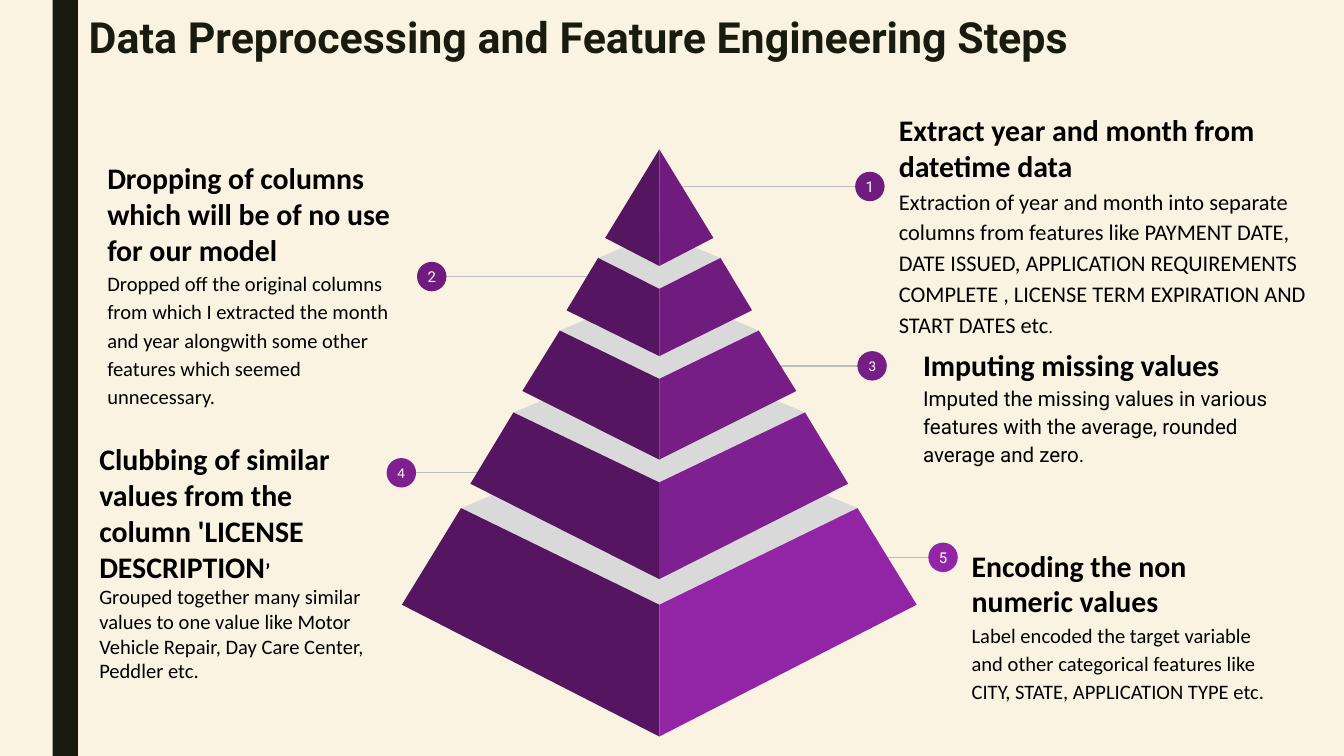
"""Build the slide on data preprocessing and feature engineering steps."""

from pptx import Presentation
from pptx.dml.color import RGBColor
from pptx.enum.shapes import MSO_CONNECTOR, MSO_SHAPE
from pptx.enum.text import MSO_ANCHOR, MSO_AUTO_SIZE, PP_ALIGN
from pptx.oxml.ns import qn
from pptx.util import Pt

CREAM = RGBColor(0xFA, 0xF3, 0xE2)
INK = RGBColor(0x19, 0x1B, 0x0E)
BLACK = RGBColor(0, 0, 0)
WHITE = RGBColor(0xFF, 0xFF, 0xFF)
LINE_GRAY = RGBColor(0xBD, 0xBD, 0xBD)
LID_GRAY = RGBColor(0xD9, 0xD9, 0xD9)
SHADE = RGBColor(0x55, 0x15, 0x61)
PLUM = RGBColor(0x70, 0x1C, 0x7F)
GRAPE = RGBColor(0x76, 0x1E, 0x86)
VIOLET = RGBColor(0x7F, 0x20, 0x90)
ORCHID = RGBColor(0x92, 0x25, 0xA5)

TITLE = "Data Preprocessing and Feature Engineering Steps"
CENTER = 353.2
BADGE = 15.8

# Fields: upper half width, side and middle; lower half width, side and middle; lid back; colour
TIERS = [
    (0, 80, 80, 29, 127.5, 142.5, None, PLUM),
    (32.8, 138.2, 154.8, 49.7, 166.3, 190.8, 124.6, PLUM),
    (53.3, 177.1, 203, 73.4, 209.5, 246.2, 154.8, GRAPE),
    (78.1, 221, 258.5, 101.2, 259.2, 310.3, 188.6, VIOLET),
    (106.2, 272.2, 324, 137.9, 324, 394.6, 228.2, ORCHID),
]

STEPS = [
    {"line": (341.3, 466, 99.9), "font": "Roboto", "color": PLUM,
     "box": (474.5, 52.8, 237.6, 135),
     "head": [("Extract year and month from datetime data", 16, "Calibri")],
     "body": [("Extraction of year and month into separate columns from features "
               "like PAYMENT DATE, DATE ISSUED, APPLICATION REQUIREMENTS COMPLETE , "
               "LICENSE TERM EXPIRATION AND START DATES etc", 12, "Calibri"),
              (".", 10, "Roboto")],
     "spacing": (1, 1.15)},
    {"line": (324.7, 231.3, 148.2), "font": "Roboto", "color": PLUM,
     "box": (50.4, 78.5, 172.8, 149),
     "head": [("Dropping of columns which will be of no use for our model",
               16, "Calibri")],
     "body": [("Dropped off the original columns from which I extracted the month "
               "and year alongwith some other features which seemed unnecessary.",
               11, "Calibri")],
     "spacing": (1, 1.15)},
    {"line": (384.5, 467.2, 196), "font": "Calibri", "color": GRAPE,
     "box": (487.4, 175.5, 200.9, 82),
     "head": [("Imputing missing values", 16, "Calibri")],
     "body": [("Imputed the missing values in various features with the average, "
               "rounded average and zero.", 11, "Roboto")],
     "spacing": (1.15, 1.15)},
    {"line": (276.5, 215, 253.3), "font": "Calibri", "color": VIOLET,
     "box": (46.1, 229, 162, 146),
     "head": [("Clubbing of similar values from the column 'LICENSE DESCRIPTION",
               16, "Calibri"), ("’", 11, "Calibri")],
     "body": [("Grouped together many similar values to one value like Motor "
               "Vehicle Repair, Day Care Center, Peddler etc.", 11, "Calibri")],
     "spacing": (1, 1)},
    {"line": (462.2, 505.2, 298.6), "font": "Roboto", "color": ORCHID,
     "box": (513.4, 286, 181.4, 100),
     "head": [("Encoding the non numeric values", 16, "Calibri")],
     "body": [("Label encoded the target variable and other categorical features "
               "like CITY, STATE, APPLICATION TYPE etc.", 11, "Calibri")],
     "spacing": (1, 1.15)},
]


def paint(shape, color):
    shape.shadow.inherit = False
    shape.fill.solid()
    shape.fill.fore_color.rgb = color
    shape.line.fill.background()


def style(font, size, name, color, bold=False):
    font.size, font.name, font.bold = Pt(size), name, bold
    font.color.rgb = color


def set_insets(frame, inset):
    frame.margin_left = frame.margin_right = Pt(inset)
    frame.margin_top = frame.margin_bottom = Pt(inset)


def add_polygon(page, points, color):
    (left, top), *rest = [(Pt(x), Pt(y)) for x, y in points]
    builder = page.shapes.build_freeform(left, top)
    builder.add_line_segments(rest, close=True)
    paint(builder.convert_to_shape(), color)


def add_pyramid(page):
    for half, side, middle, _, _, _, back, _ in TIERS:
        if back is not None:
            add_polygon(page, [(CENTER - half, side), (CENTER, middle),
                               (CENTER + half, side), (CENTER, back)], LID_GRAY)
    for half, side, middle, low_half, low_side, low_middle, _, color in TIERS:
        for sign, fill in ((-1, SHADE), (1, color)):
            add_polygon(page, [(CENTER + sign * half, side), (CENTER, middle),
                               (CENTER, low_middle),
                               (CENTER + sign * low_half, low_side)], fill)


def add_badge(page, number, step):
    start, end, y = step["line"]
    leader = page.shapes.add_connector(MSO_CONNECTOR.STRAIGHT,
                                       Pt(start), Pt(y), Pt(end), Pt(y))
    leader.line.color.rgb = LINE_GRAY
    leader.line.width = Pt(0.75)
    properties = leader._element.spPr
    properties.append(properties.makeelement(qn("a:effectLst"), {}))
    badge = page.shapes.add_shape(MSO_SHAPE.OVAL, Pt(end - BADGE / 2),
                                  Pt(y - BADGE / 2), Pt(BADGE), Pt(BADGE))
    paint(badge, step["color"])
    frame = badge.text_frame
    set_insets(frame, 0)
    frame.word_wrap = False
    frame.vertical_anchor = MSO_ANCHOR.MIDDLE
    para = frame.paragraphs[0]
    para.text, para.alignment = str(number), PP_ALIGN.CENTER
    style(para.font, 8, step["font"], WHITE)
    style(para.runs[0].font, 8, step["font"], WHITE)


def fill_para(para, spans, spacing, bold):
    para.line_spacing = spacing
    for text, size, name in spans:
        span = para.add_run()
        span.text = text
        target = para.font if len(spans) == 1 else span.font
        style(target, size, name, BLACK, bold)


def add_description(page, step):
    box = page.shapes.add_textbox(*map(Pt, step["box"]))
    frame = box.text_frame
    frame.word_wrap = True
    set_insets(frame, 7.2)
    head_spacing, body_spacing = step["spacing"]
    fill_para(frame.paragraphs[0], step["head"], head_spacing, True)
    fill_para(frame.add_paragraph(), step["body"], body_spacing, False)


def add_title(page):
    title = page.shapes.title
    title.left, title.top, title.width, title.height = map(Pt, (40.3, -1.4, 655, 45))
    frame = title.text_frame
    frame.auto_size = MSO_AUTO_SIZE.NONE
    frame.vertical_anchor = MSO_ANCHOR.TOP
    set_insets(frame, 7.2)
    para = frame.paragraphs[0]
    para.text, para.alignment = TITLE, PP_ALIGN.LEFT
    style(para.font, 23, "Roboto", INK, True)


def main():
    deck = Presentation()
    deck.slide_width, deck.slide_height = Pt(720), Pt(405)
    page = deck.slides.add_slide(deck.slide_layouts[5])
    page.background.fill.solid()
    page.background.fill.fore_color.rgb = CREAM
    paint(page.shapes.add_shape(MSO_SHAPE.RECTANGLE, Pt(28.2), 0, Pt(13.6), Pt(405)), INK)
    for number, step in enumerate(STEPS, 1):
        add_badge(page, number, step)
        add_description(page, step)
    add_pyramid(page)
    add_title(page)
    deck.save("out.pptx")


if __name__ == "__main__":
    main()
